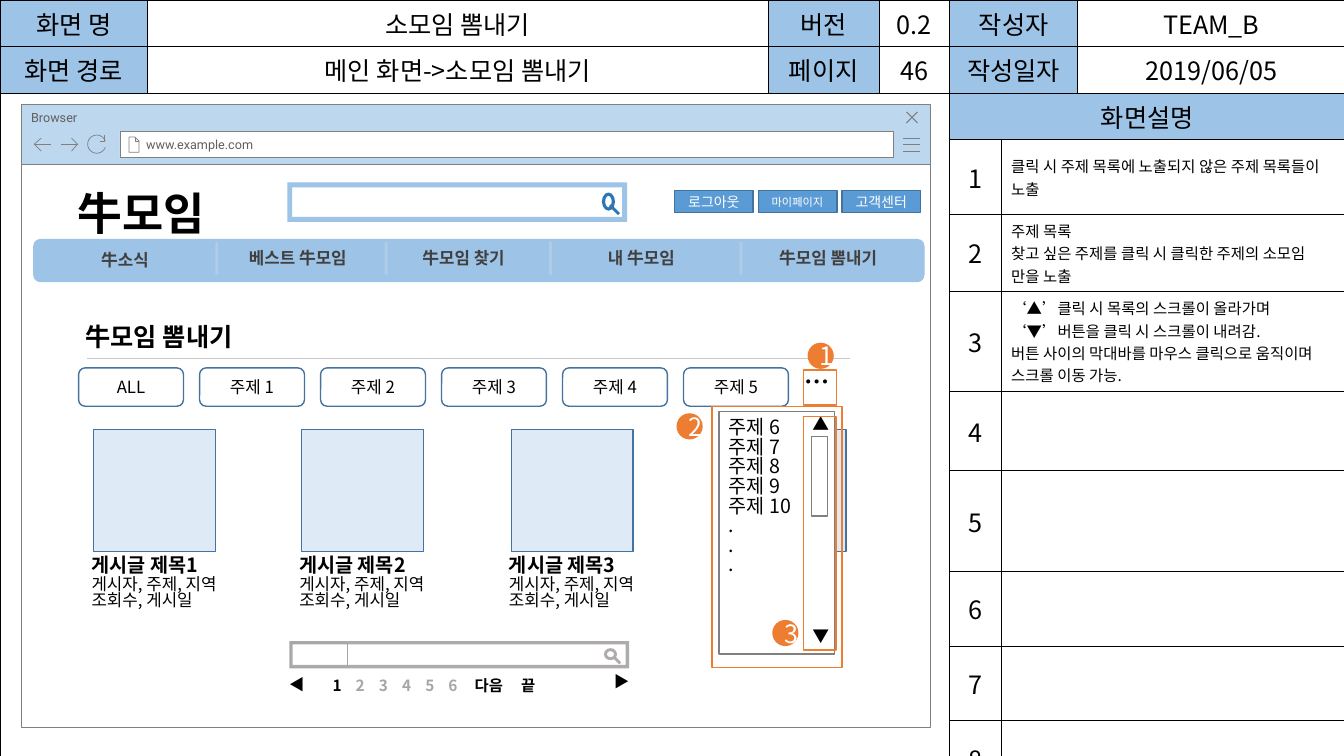
import math

import lxml.etree
import pptx
import pptx.dml.color
import pptx.enum.shapes
import pptx.enum.text
import pptx.oxml
import pptx.oxml.ns
import pptx.util

Inches = pptx.util.Inches
Pt = pptx.util.Pt
SHAPE = pptx.enum.shapes.MSO_SHAPE
LEFT = pptx.enum.text.PP_ALIGN.LEFT
CENTER = pptx.enum.text.PP_ALIGN.CENTER
TOP = pptx.enum.text.MSO_ANCHOR.TOP
MIDDLE = pptx.enum.text.MSO_ANCHOR.MIDDLE
FONT = "Noto Sans CJK KR"
HEADER, NAVY, GRAY, ORANGE = "9DC3E6", "43739E", "808080", "ED7D31"
COLS = [1.46, 6.16, 1.1, 0.7, 0.51, 0.76, 2.65]
ROWS = [0.46, 0.46, 0.46, 0.74, 0.76, 0.99, 0.79, 1, 0.74, 0.74, 0.74]
HEADINGS = [
    ["화면 명", "소모임 뽐내기", "버전", "0.2", "작성자", "", "TEAM_B"],
    ["화면 경로", "메인 화면->소모임 뽐내기", "페이지", "46", "작성일자", "", "2019/06/05"],
]
NOTES = [
    "클릭 시 주제 목록에 노출되지 않은 주제 목록들이 노출",
    "주제 목록\n찾고 싶은 주제를 클릭 시 클릭한 주제의 소모임 만을 노출",
    "‘▲’클릭 시 목록의 스크롤이 올라가며 ‘▼’버튼을 클릭 시 스크롤이 내려감.\n"
    "버튼 사이의 막대바를 마우스 클릭으로 움직이며 스크롤 이동 가능.",
]


def rgb(value):
    """Return the colour of a hex string."""
    return pptx.dml.color.RGBColor.from_string(value)


def sub(parent, tag, **attrs):
    """Append a DrawingML element and return it."""
    return lxml.etree.SubElement(parent, pptx.oxml.ns.qn(tag), **attrs)


def style(r, size, color="000000", bold=False, font=FONT):
    """Format one run for Latin and East Asian letters."""
    r.font.size, r.font.bold, r.font.name = Pt(size), bold, font
    r.font.color.rgb = rgb(color)
    sub(r.font._element, "a:ea", typeface=font)


def write(tf, text, size, color="000000", bold=False, align=LEFT, font=FONT, spacing=None):
    """Fill a text frame and format its paragraphs."""
    tf.text = text
    for p in tf.paragraphs:
        p.alignment = align
        if spacing:
            p.line_spacing = spacing
        for r in p.runs:
            style(r, size, color, bold, font)


def box(s, at, kind=SHAPE.RECTANGLE, fill=None, line=None, width=1):
    """Add a preset shape."""
    sp = s.shapes.add_shape(kind, *map(Inches, at))
    sp.shadow.inherit = False
    paint(sp, fill, line, width)
    return sp


def paint(sp, fill, line, width):
    """Set the fill and outline of a shape."""
    if fill:
        sp.fill.solid()
        sp.fill.fore_color.rgb = rgb(fill)
    else:
        sp.fill.background()
    if line:
        sp.line.color.rgb = rgb(line)
        sp.line.width = Pt(width)
    else:
        sp.line.fill.background()


def label(s, at, text, size, color="000000", bold=False, align=LEFT, wrap=True):
    """Add a text box and return its frame."""
    tf = s.shapes.add_textbox(*map(Inches, at)).text_frame
    tf.word_wrap, tf.vertical_anchor = wrap, MIDDLE
    write(tf, text, size, color, bold, align)
    return tf


def rule(s, x1, y1, x2, y2, color, width, alpha=None):
    """Add a straight line."""
    c = s.shapes.add_connector(pptx.enum.shapes.MSO_CONNECTOR.STRAIGHT, *map(Inches, (x1, y1, x2, y2)))
    c.line.color.rgb = rgb(color)
    c.line.width = Pt(width)
    if alpha:
        clr = c.line._ln.find(".//" + pptx.oxml.ns.qn("a:srgbClr"))
        sub(clr, "a:alpha", val=str(alpha * 1000))
    sub(c._element.spPr, "a:effectLst")


def icon(s, strokes, width=0.5):
    """Draw an outline icon from open strokes."""
    points = [[(Inches(x), Inches(y)) for x, y in stroke] for stroke in strokes]
    fb = s.shapes.build_freeform(*points[0][0], scale=1.0)
    for i, stroke in enumerate(points):
        if i:
            fb.move_to(*stroke[0])
        fb.add_line_segments(stroke[1:], close=False)
    sp = fb.convert_to_shape()
    sp.shadow.inherit = False
    paint(sp, None, GRAY, width)


def browser(s):
    """Draw the browser window."""
    box(s, (0.21, 1.62, 9.02, 5.6), fill="FFFFFF", line=GRAY, width=0.5)
    bar = box(s, (0.21, 1.04, 9.02, 0.59), fill="BDD7EE", line=GRAY, width=0.5)
    url = box(s, (1.19, 1.3, 7.67, 0.26), fill="FFFFFF", line=GRAY, width=0.5)
    bar.text_frame.vertical_anchor = TOP
    url.text_frame.margin_left = Inches(0.26)
    for sp, text in ((bar, "Browser"), (url, "www.example.com")):
        write(sp.text_frame, text, 9, "5F5F5F", font="Roboto")
    icon(s, [[(8.96, y), (9.13, y)] for y in (1.37, 1.43, 1.5)])
    icon(s, [[(9.1, 1.11), (8.99, 1.22)], [(8.99, 1.11), (9.1, 1.22)]], 0.75)
    icon(s, [[(1.34, 1.36), (1.34, 1.4), (1.38, 1.4)],
             [(1.34, 1.36), (1.28, 1.36), (1.28, 1.51), (1.38, 1.51), (1.38, 1.4), (1.34, 1.36)]])
    icon(s, [[(0.41, 1.5), (0.34, 1.43), (0.41, 1.37)], [(0.34, 1.43), (0.51, 1.43)]])
    icon(s, [[(0.71, 1.37), (0.77, 1.43), (0.71, 1.5)], [(0.77, 1.43), (0.61, 1.43)]])
    arc = [(0.96 + 0.09 * math.cos(a), 1.43 + 0.09 * math.sin(a))
           for a in (math.radians(d) for d in range(20, 341, 10))]
    icon(s, [[(1.04, 1.34), (1.04, 1.4), (0.99, 1.4)], arc])


def cell_text(table, row, col, text, size=18, align=CENTER, fill=None):
    """Write one table cell."""
    cell = table.cell(row, col)
    write(cell.text_frame, text, size, align=align)
    if fill:
        cell.fill.solid()
        cell.fill.fore_color.rgb = rgb(fill)


def spec_table(s):
    """Add the sheet's frame with headings and numbered notes."""
    size = map(Inches, (0, 0, sum(COLS), sum(ROWS)))
    table = s.shapes.add_table(len(ROWS), len(COLS), *size).table
    table.first_row = table.horz_banding = False
    for col, width in zip(table.columns, COLS):
        col.width = Inches(width)
    for row, height in zip(table.rows, ROWS):
        row.height = Inches(height)
    for cell in table.iter_cells():
        cell.vertical_anchor = MIDDLE
        for side in ("a:lnL", "a:lnR", "a:lnT", "a:lnB"):
            ln = sub(cell._tc.get_or_add_tcPr(), side, w="12700")
            sub(sub(ln, "a:solidFill"), "a:srgbClr", val="000000")
        cell.fill.background()
    table.cell(2, 0).merge(table.cell(10, 3))
    table.cell(2, 4).merge(table.cell(2, 6))
    for r, texts in enumerate(HEADINGS):
        table.cell(r, 4).merge(table.cell(r, 5))
        for c, text in enumerate(texts):
            if text:
                cell_text(table, r, c, text, fill=None if c in (1, 3, 6) else HEADER)
    cell_text(table, 2, 4, "화면설명", fill=HEADER)
    for n in range(1, 9):
        table.cell(n + 2, 5).merge(table.cell(n + 2, 6))
        cell_text(table, n + 2, 4, str(n))
    for r, note in enumerate(NOTES, 3):
        cell_text(table, r, 5, note, 11, LEFT)


def search(s, frame, handle, lens, color, handle_color):
    """Draw a search field with its magnifier."""
    box(s, frame, SHAPE.FRAME, color)
    minus = box(s, handle, SHAPE.MATH_MINUS, handle_color)
    minus.rotation = 45
    box(s, lens, SHAPE.DONUT, handle_color)


def badge(s, x, y, number):
    """Add a numbered orange marker."""
    sp = box(s, (x, y, 0.26, 0.26), SHAPE.OVAL, ORANGE)
    write(sp.text_frame, number, 18, "FFFFFF", align=CENTER)


def header(s):
    """Draw the site's name, search, buttons and navigation."""
    for i, (text, size) in enumerate((("로그아웃", 10), ("마이페이지", 8), ("고객센터", 10))):
        sp = box(s, (6.69 + 0.83 * i, 1.89, 0.78, 0.22), fill="5B9BD5", line=NAVY)
        write(sp.text_frame, text, size, "FFFFFF", align=CENTER)
    search(s, (2.85, 1.81, 3.37, 0.39), (6.01, 2.02, 0.17, 0.12), (5.97, 1.91, 0.13, 0.18), HEADER, "2E75B6")
    label(s, (0.67, 1.79, 1.56, 0.64), "牛모임", 32, bold=True)
    label(s, (0.75, 3.14, 1.81, 0.4), "牛모임 뽐내기", 18, bold=True, wrap=False)
    rule(s, 0.86, 3.56, 8.43, 3.56, "C9C9C9", 0.5)
    box(s, (0.33, 2.37, 8.84, 0.43), SHAPE.ROUNDED_RECTANGLE, HEADER)
    label(s, (0.33, 2.43, 1.82, 0.3), "牛소식", 12, "404040", True, CENTER)
    for x, text in ((2.37, "베스트 牛모임"), (4.09, "牛모임 찾기"), (5.93, "내 牛모임"), (7.63, "牛모임 뽐내기")):
        label(s, (x, 2.41, 1.28, 0.3), text, 12, "404040", True)
    for x in (2.15, 3.83, 5.46, 7.35):
        rule(s, x, 2.4, x, 2.73, "F2F2F2", 2, 22)


def pager(s):
    """Draw the page numbers below the posts."""
    label(s, (2.77, 6.65, 0.28, 0.28), "◀", 11)
    label(s, (5.99, 6.62, 0.28, 0.28), "▶", 11)
    p = label(s, (3.2, 6.65, 2.76, 0.29), "", 11).paragraphs[0]
    tabs = sub(p._p.get_or_add_pPr(), "a:tabLst")
    for x in [0.23 * i for i in range(1, 6)] + [1.41, 1.87]:
        sub(tabs, "a:tab", pos=str(Inches(x)), algn="l")
    for text, color in (("1\t", "000000"), ("2\t3\t4\t5\t6\t", "A6A6A6"), ("다음\t끝", "000000")):
        r = p.add_run()
        r.text = text
        style(r, 11, color, True)


def posts(s):
    """Draw the topic buttons and post cards."""
    badge(s, 8.01, 3.4, "1")
    label(s, (7.88, 3.58, 0.45, 0.4), "…", 18, bold=True, wrap=False)
    for i, text in enumerate(["ALL"] + [f"주제 {n}" for n in range(1, 6)]):
        sp = box(s, (0.78 + 1.2 * i, 3.65, 1.04, 0.38), SHAPE.FLOWCHART_ALTERNATE_PROCESS, "FFFFFF", NAVY)
        write(sp.text_frame, text, 12, align=CENTER)
    box(s, (7.97, 3.67, 0.33, 0.35), line=ORANGE)
    badge(s, 6.71, 4.1, "2")
    for n, x in enumerate((0.93, 2.99, 5.07, 7.18), 1):
        box(s, (x, 4.26, 1.21, 1.21), fill="DEEBF7", line=NAVY)
        if n < 4:
            tf = label(s, (x - 0.12, 5.48, 1.57, 0.9), "", 12)
            tf.vertical_anchor = TOP
            write(tf, f"게시글 제목{n}\n게시자, 주제, 지역\n조회수, 게시일", 12, spacing=0.83)
            title = tf.paragraphs[0].runs[0]
            title.font.size, title.font.bold = Pt(14), True
    search(s, (2.87, 6.36, 3.37, 0.27), (6.06, 6.49, 0.12, 0.12), (5.99, 6.43, 0.13, 0.12), "AFABAB", "AFABAB")
    box(s, (2.88, 6.38, 0.57, 0.24), line="A6A6A6")


def dropdown(s):
    """Draw the open topic list with its scroll bar."""
    sp = box(s, (7.13, 4.08, 1.15, 2.41), fill="FFFFFF", line=GRAY)
    tf = sp.text_frame
    tf.vertical_anchor, tf.margin_top = TOP, Inches(0.08)
    write(tf, "\n".join([f"주제 {n}" for n in range(6, 11)] + ["."] * 3), 14, spacing=0.83)
    label(s, (7.96, 4.05, 0.37, 0.3), "▲", 12, wrap=False)
    box(s, (8.05, 4.33, 0.16, 0.79), fill="FFFFFF", line=GRAY)
    box(s, (7.97, 4.13, 0.32, 2.32), line=ORANGE)
    label(s, (7.96, 6.16, 0.37, 0.3), "▼", 12, wrap=False)
    box(s, (7.06, 4.03, 1.29, 2.59), line=ORANGE)
    badge(s, 7.66, 6.15, "3")


def main():
    """Build the slide and save it."""
    prs = pptx.Presentation()
    prs.slide_width, prs.slide_height = Inches(13.33), Inches(7.5)
    s = prs.slides.add_slide(prs.slide_layouts[6])
    for draw in (browser, spec_table, header, pager, posts, dropdown):
        draw(s)
    prs.save("out.pptx")


if __name__ == "__main__":
    main()
